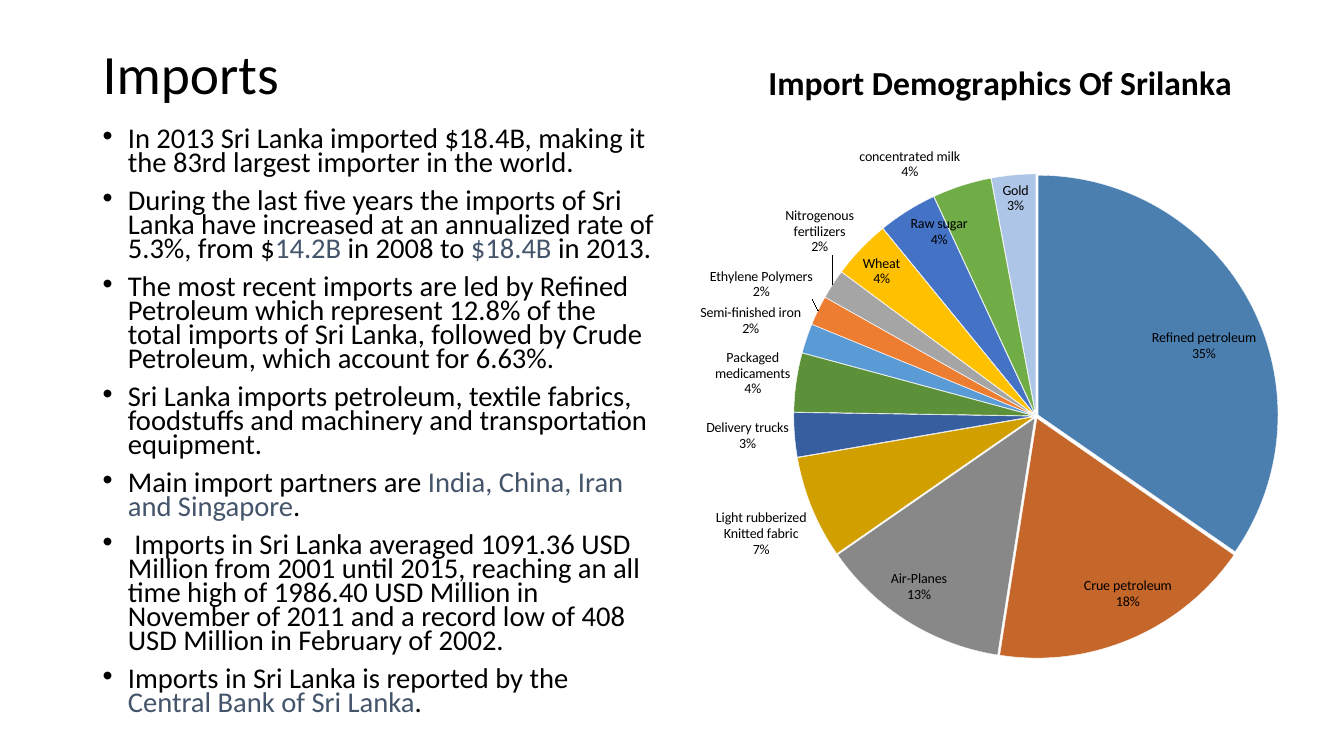
from lxml import etree
from pptx import Presentation
from pptx.chart.data import CategoryChartData as Data
from pptx.dml.color import RGBColor as Rgb
from pptx.enum.chart import XL_CHART_TYPE as Kind, XL_LABEL_POSITION as Spot
from pptx.enum.text import MSO_ANCHOR as Anchor
from pptx.oxml import parse_xml
from pptx.oxml.ns import qn
from pptx.util import Inches, Pt

FONT = "Calibri"
HUES = {"ink": "000000", "mark": "44546A", "edge": "FFFFFF"}
BODY = [
    [("In 2013 Sri Lanka imported $18.4B, making it the 83rd largest importer in the world.", "ink")],
    [("During the last five years the imports of Sri Lanka have increased at an annualized rate of 5.3%, from $", "ink"),
     ("14.2B", "mark"), (" in 2008 to ", "ink"), ("$18.4B ", "mark"), ("in 2013.", "ink")],
    [("The most recent imports are led by Refined Petroleum which represent 12.8% of the total imports of Sri Lanka, "
      "followed by Crude Petroleum, which account for 6.63%.", "ink")],
    [("Sri Lanka imports petroleum, textile fabrics, foodstuffs and machinery and transportation equipment.", "ink")],
    [("Main import partners are ", "ink"), ("India, China, Iran and Singapore", "mark"), (".", "ink")],
    [(" Imports in Sri Lanka averaged 1091.36 USD Million from 2001 until 2015, reaching an all time high of "
      "1986.40 USD Million in November of 2011 and a record low of 408 USD Million in February of 2002.", "ink")],
    [("Imports in Sri Lanka is reported by the ", "ink"), ("Central Bank of Sri Lanka", "mark"), (".", "ink")],
]
GOODS = [
    ("Refined petroleum", 35, "4B7FB0"),
    ("Crue petroleum", 18, "C5672A"),
    ("Air-Planes", 13, "888888"),
    ("Light rubberized Knitted fabric", 7, "D19F00"),
    ("Delivery trucks", 3, "375E9F"),
    ("Packaged medicaments", 4, "5C9039"),
    ("Semi-finished iron", 2, "5B9BD5"),
    ("Ethylene Polymers", 2, "ED7D31"),
    ("Nitrogenous fertilizers", 2, "A5A5A5"),
    ("Wheat", 4, "FFC000"),
    ("Raw sugar", 4, "4472C4"),
    ("concentrated milk", 4, "70AD47"),
    ("Gold", 3, "ADC5E6"),
]

deck = Presentation()
deck.slide_width, deck.slide_height = Inches(13.33), Inches(7.5)
slide = deck.slides.add_slide(deck.slide_layouts[6])
left, top = Inches(0.92), Inches(0.4)


def add_frame(y, wide, high, anchor):
    frame = slide.shapes.add_textbox(left, y, wide, high).text_frame
    frame.word_wrap = True
    frame.vertical_anchor = anchor
    return frame


def style(font, size, hue="ink", bold=False):
    font.name, font.size, font.bold = FONT, Pt(size), bold
    font.color.rgb = Rgb.from_string(HUES[hue])


para = add_frame(top, Inches(5.28), Inches(0.72), Anchor.MIDDLE).paragraphs[0]
para.line_spacing = 0.9
run = para.add_run()
run.text = "Imports"
style(run.font, 39.6)

frame = add_frame(Inches(1.23), Inches(5.67), Inches(5.98), Anchor.TOP)
for row, parts in enumerate(BODY):
    para = frame.add_paragraph() if row else frame.paragraphs[0]
    para.line_spacing, para.space_before = 0.7, Pt(10)
    props = para._p.get_or_add_pPr()
    props.set("marL", str(Inches(0.25)))
    props.set("indent", str(-Inches(0.25)))
    etree.SubElement(props, qn("a:buFont")).set("typeface", "Arial")
    etree.SubElement(props, qn("a:buChar")).set("char", "•")
    for text, hue in parts:
        run = para.add_run()
        run.text = text
        style(run.font, 20.4, hue)

data = Data()
data.categories = [name for name, share, hue in GOODS]
data.add_series("Series 1", [share for name, share, hue in GOODS])
chart = slide.shapes.add_chart(Kind.PIE, Inches(6.75), top, Inches(6.24), Inches(6.6), data).chart
style(chart.font, 10)
chart.has_legend = False
chart.has_title = True
run = chart.chart_title.text_frame.paragraphs[0].add_run()
run.text = "Import Demographics Of Srilanka"
style(run.font, 24, bold=True)
chart.chart_title.include_in_layout = False

plot = chart.plots[0]
plot.vary_by_categories = True
pie = plot.series[0]
pie.format.line.width = Pt(0.25)
burst = etree.Element(qn("c:explosion"), val="1")
pie._element.find(qn("c:spPr")).addnext(burst)
for spot, (name, share, hue) in enumerate(GOODS):
    look = pie.points[spot].format
    look.fill.solid()
    look.fill.fore_color.rgb = Rgb.from_string(hue)
    look.line.color.rgb = Rgb.from_string(HUES["edge"])
    look.line.width = Pt(0.25)

tags = pie.data_labels
tags.show_category_name = tags.show_percentage = True
tags.show_value = False
tags.number_format, tags.number_format_is_linked = "0%", False
tags.position = Spot.BEST_FIT
style(tags.font, 10)

names = [name for name, share, hue in GOODS]
sugar = pie.points[names.index("Raw sugar")].data_label
sugar.position = Spot.INSIDE_END
style(sugar.font, 10)
inner = tags._element.find(qn("c:dLbl"))
for key, val in (("showVal", "0"), ("showCatName", "1"), ("showPercent", "1")):
    inner.find(qn(f"c:{key}")).set("val", val)
for group in (tags._element, inner):
    split = etree.Element(qn("c:separator"))
    split.text = "\n"
    group.find(qn("c:showBubbleSize")).addnext(split)

area = chart._chartSpace.chart.plotArea
title = chart.chart_title._element
for owner, slot, kind, place in (
    (area, 0, '<c:layoutTarget val="inner"/>', {"x": 0.18, "y": 0.2, "w": 0.77, "h": 0.73}),
    (title, 1, "", {"x": 0.13, "y": 0.02}),
):
    for old in owner.findall(qn("c:layout")):
        owner.remove(old)
    marks = "".join(f'<c:{key}Mode val="edge"/>' for key in "xy")
    marks += "".join(f'<c:{key} val="{val}"/>' for key, val in place.items())
    owner.insert(slot, parse_xml(
        '<c:layout xmlns:c="http://schemas.openxmlformats.org/drawingml/2006/chart">'
        f'<c:manualLayout>{kind}{marks}</c:manualLayout></c:layout>'))

deck.save("out.pptx")
